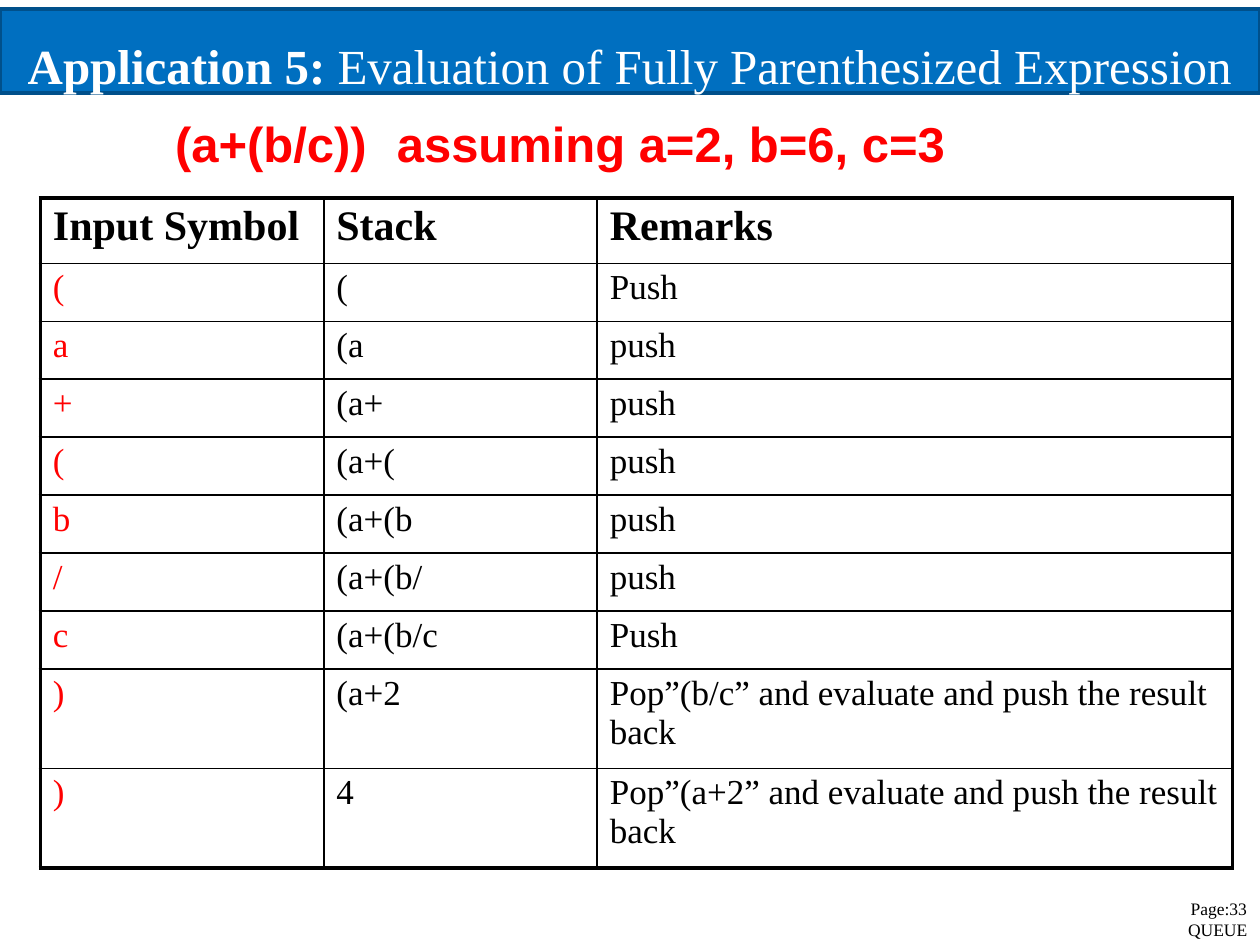
"""Build the slide on evaluating a fully parenthesized expression with a stack."""
from lxml import etree
from pptx import Presentation
from pptx.dml.color import RGBColor
from pptx.enum import shapes
from pptx.oxml import ns
from pptx.util import Inches, Pt

COLORS = {"banner": "006FC0", "edge": "00508B", "white": "FFFFFF",
          "black": "000000", "red": "FF0000"}
SERIF = "Times New Roman"


def style(paragraph, name, size, color, bold=None):
    font = paragraph.font
    font.name, font.size, font.bold = name, Pt(size), bold
    font.color.rgb = RGBColor.from_string(COLORS[color])


def add_text_box(left, top, width, height, inset_left, inset_top):
    box = slide.shapes.add_textbox(*map(Inches, (left, top, width, height)))
    frame = box.text_frame
    frame.word_wrap = True
    frame.margin_left, frame.margin_top = Inches(inset_left), Inches(inset_top)
    frame.margin_right = frame.margin_bottom = 0
    return frame.paragraphs[0]


presentation = Presentation()
presentation.slide_width, presentation.slide_height = Inches(10), Inches(7.5)
slide = presentation.slides.add_slide(presentation.slide_layouts[6])

banner = slide.shapes.add_shape(shapes.MSO_SHAPE.RECTANGLE, 0, Inches(0.07),
                                Inches(10), Inches(0.67))
banner.shadow.inherit = False
banner.fill.solid()
banner.fill.fore_color.rgb = RGBColor.from_string(COLORS["banner"])
banner.line.color.rgb = RGBColor.from_string(COLORS["edge"])
banner.line.width = Pt(2)

title = add_text_box(0, 0.08, 10, 0.67, 0.22, 0.2)
style(title, SERIF, 28, "white")
lead = title.add_run()
lead.text = "Application 5: "
lead.font.bold = True
title.add_run().text = "Evaluation of Fully Parenthesized Expression"

footer = add_text_box(9.42, 7.13, 0.54, 0.35, 0.01, 0)
footer.text = "Page:33 QUEUE"
footer.line_spacing = Pt(12)
footer._p.get_or_add_pPr().set("indent", str(Inches(0.02)))
style(footer, SERIF, 10, "black")

rows = [
    ("Input Symbol", "Stack", "Remarks"),
    ("(", "(", "Push"),
    ("a", "(a", "push"),
    ("+", "(a+", "push"),
    ("(", "(a+(", "push"),
    ("b", "(a+(b", "push"),
    ("/", "(a+(b/", "push"),
    ("c", "(a+(b/c", "Push"),
    (")", "(a+2", "Pop”(b/c” and evaluate and push the result back"),
    (")", "4", "Pop”(a+2” and evaluate and push the result\nback"),
]
column_widths = [2.25, 2.17, 5.04]
row_heights = [0.52] + [0.46] * 7 + [0.79] * 2
table = slide.shapes.add_table(
    len(rows), len(column_widths), Inches(0.32), Inches(1.57),
    Inches(sum(column_widths)), Inches(sum(row_heights))).table
table.first_row = table.horz_banding = False
for column, width in zip(table.columns, column_widths):
    column.width = Inches(width)
for row, height in zip(table.rows, row_heights):
    row.height = Inches(height)

for r, values in enumerate(rows):
    for c, value in enumerate(values):
        cell = table.cell(r, c)
        cell.text = value
        cell.margin_left, cell.margin_top = Inches(0.1), Inches(0.04)
        cell.margin_right = cell.margin_bottom = 0
        for paragraph in cell.text_frame.paragraphs:
            if r == 0:
                style(paragraph, SERIF, 24, "black", True)
            else:
                style(paragraph, SERIF, 20, "red" if c == 0 else "black", False)
        outer_sides = {"L": c == 0, "R": c == len(values) - 1,
                       "T": r == 0, "B": r == len(rows) - 1}
        properties = cell._tc.get_or_add_tcPr()
        for side, outer in outer_sides.items():
            border = etree.SubElement(properties, ns.qn("a:ln" + side),
                                      w=str(Pt(2.25 if outer else 1)))
            fill = etree.SubElement(border, ns.qn("a:solidFill"))
            etree.SubElement(fill, ns.qn("a:srgbClr"), val=COLORS["black"])
        cell.fill.background()

expression = add_text_box(1.38, 0.88, 6.13, 0.49, 0.01, 0.02)
expression.text = "(a+(b/c))\tassuming a=2, b=6, c=3"
tabs = etree.SubElement(expression._p.get_or_add_pPr(), ns.qn("a:tabLst"))
etree.SubElement(tabs, ns.qn("a:tab"), pos=str(Inches(1.76)), algn="l")
style(expression, "Arial", 28, "red", True)

presentation.save("out.pptx")
